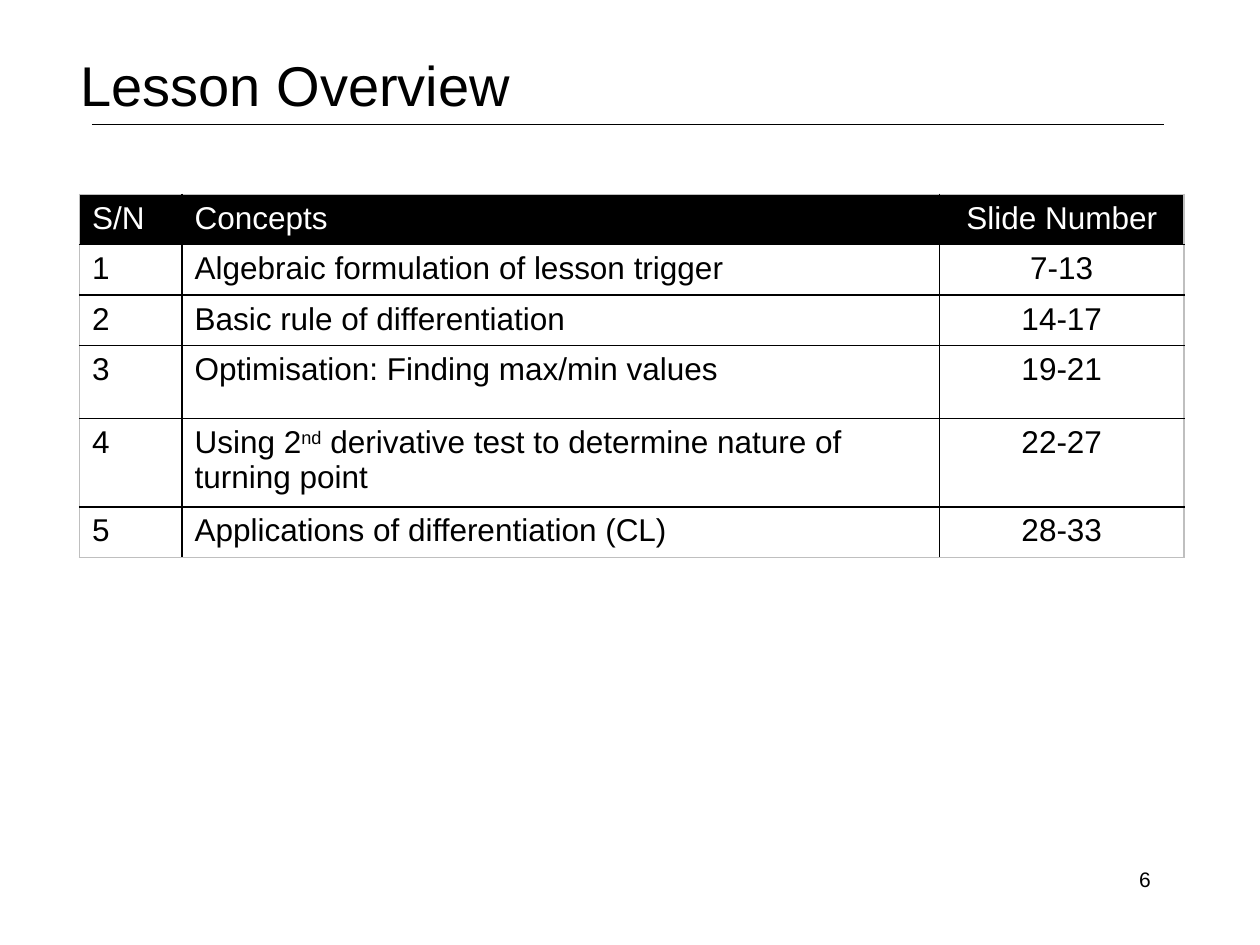
from typing import NamedTuple

from lxml.etree import SubElement
from pptx import Presentation
from pptx.dml.color import RGBColor
from pptx.enum.shapes import MSO_CONNECTOR as Connector
from pptx.enum.text import PP_ALIGN as Align
from pptx.oxml.ns import qn
from pptx.util import Pt

COLORS = {"ink": "000000", "paper": "FFFFFF", "frame": "BFBFBF"}
FONT = "Arial"
COLUMN_WIDTHS = (58.5, 433, 139.5)
ROW_HEIGHT = 28.8


class Lesson(NamedTuple):
    number: str
    concept: str
    slides: str
    height: float = ROW_HEIGHT


# A caret pair encloses superscript text
LESSONS = [
    Lesson("S/N", "Concepts", "Slide Number"),
    Lesson("1", "Algebraic formulation of lesson trigger", "7-13"),
    Lesson("2", "Basic rule of differentiation", "14-17"),
    Lesson("3", "Optimisation: Finding max/min values", "19-21", 41.7),
    Lesson("4", "Using 2^nd^ derivative test to determine nature of turning point",
           "22-27", 48),
    Lesson("5", "Applications of differentiation (CL)", "28-33"),
]


def write(frame, text: str, *, size: float = 18, color: str = "ink",
          align=Align.LEFT) -> None:
    frame.word_wrap = True
    paragraph = frame.paragraphs[0]
    paragraph.alignment = align
    for index, part in enumerate(text.split("^")):
        run = paragraph.add_run()
        run.text = part
        run.font.name = FONT
        run.font.size = Pt(size)
        run.font.color.rgb = RGBColor.from_string(COLORS[color])
        if index % 2:
            run.font._element.set("baseline", "30000")


def add_text(slide, left: float, top: float, width: float, height: float,
             text: str, *, inset: tuple[float, float] = (7.2, 3.6), **style) -> None:
    box = slide.shapes.add_textbox(Pt(left), Pt(top), Pt(width), Pt(height))
    frame = box.text_frame
    frame.margin_left, frame.margin_top = map(Pt, inset)
    write(frame, text, **style)


def add_rule(slide, left: float, right: float, y: float) -> None:
    rule = slide.shapes.add_connector(Connector.STRAIGHT, Pt(left), Pt(y), Pt(right), Pt(y))
    rule.line.width = Pt(0.25)
    rule.line.color.rgb = RGBColor.from_string(COLORS["ink"])
    SubElement(rule._element.spPr, qn("a:effectLst"))


def set_borders(cell, outer_edges: dict[str, bool]) -> None:
    properties = cell._tc.get_or_add_tcPr()
    for position, (edge, is_outer) in enumerate(outer_edges.items()):
        line = SubElement(properties, qn(f"a:{edge}"), w=str(Pt(1)))
        fill = SubElement(line, qn("a:solidFill"))
        SubElement(fill, qn("a:srgbClr"), val=COLORS["frame" if is_outer else "ink"])
        properties.insert(position, line)  # borders precede the fill


def add_lessons(slide, left: float, top: float) -> None:
    last_row, last_column = len(LESSONS) - 1, len(COLUMN_WIDTHS) - 1
    table = slide.shapes.add_table(
        len(LESSONS), len(COLUMN_WIDTHS), Pt(left), Pt(top),
        Pt(sum(COLUMN_WIDTHS)), Pt(sum(lesson.height for lesson in LESSONS))).table
    for column, width in zip(table.columns, COLUMN_WIDTHS):
        column.width = Pt(width)
    for r, lesson in enumerate(LESSONS):
        table.rows[r].height = Pt(lesson.height)
        background, ink = ("paper", "ink") if r else ("ink", "paper")
        for c, text in enumerate(lesson[:3]):
            cell = table.cell(r, c)
            cell.fill.solid()
            cell.fill.fore_color.rgb = RGBColor.from_string(COLORS[background])
            set_borders(cell, {"lnL": c == 0, "lnR": c == last_column,
                               "lnT": r == 0, "lnB": r == last_row})
            write(cell.text_frame, text, color=ink,
                  align=Align.CENTER if c == last_column else Align.LEFT)


def main() -> None:
    deck = Presentation()
    deck.slide_width, deck.slide_height = Pt(720), Pt(540)
    slide = deck.slides.add_slide(deck.slide_layouts[6])

    # Heading and its rule
    add_rule(slide, 52.5, 665, 71.2)
    add_text(slide, 41, 21.6, 640, 90, "Lesson Overview", size=32, inset=(5, 7.5))

    # Lesson table
    add_lessons(slide, 45.5, 111)

    # Page number
    add_text(slide, 496.8, 491.8, 167.8, 28.8, "6", size=12, align=Align.RIGHT)

    deck.save("out.pptx")


if __name__ == "__main__":
    main()
